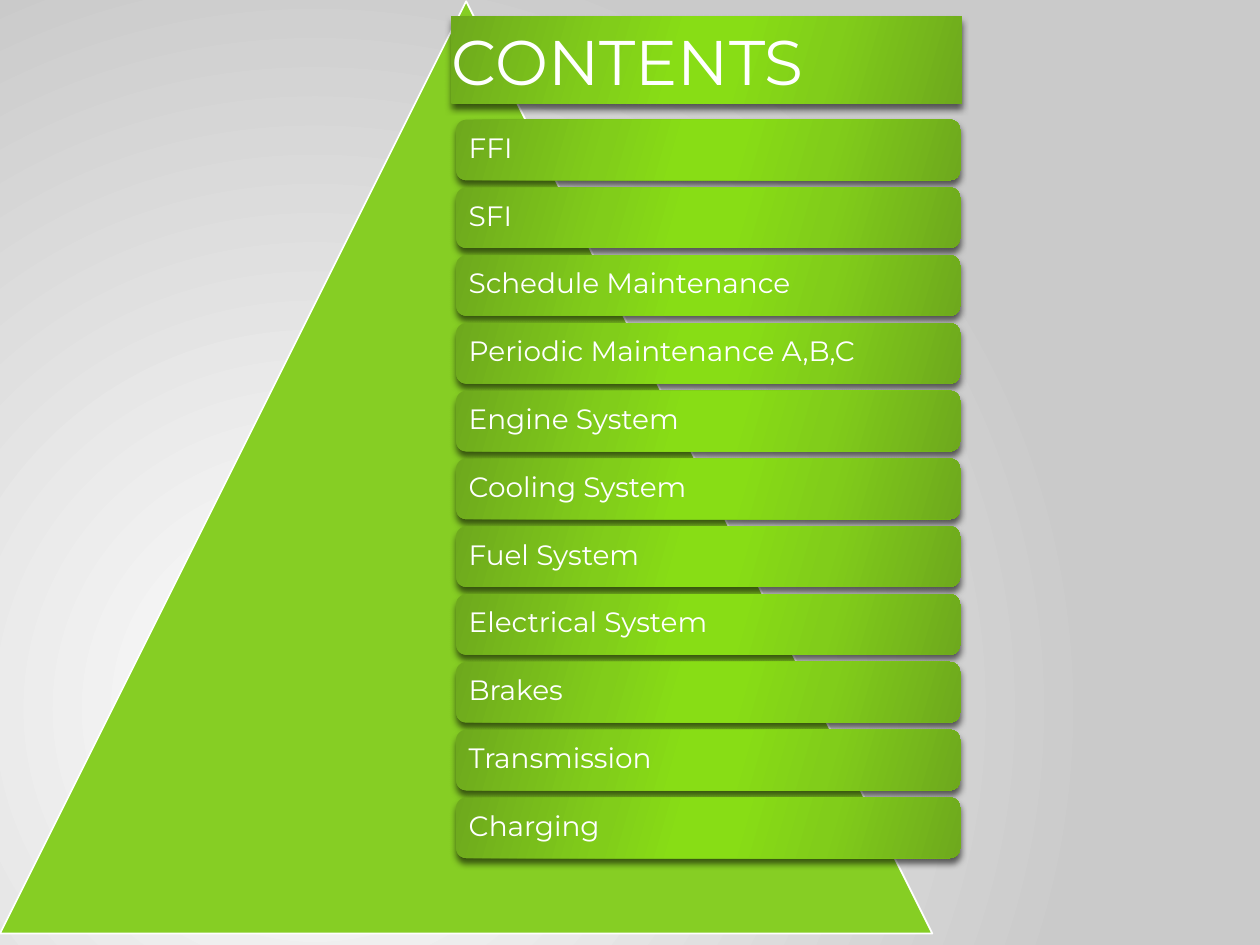
from lxml import etree
from pptx import Presentation
from pptx.dml.color import RGBColor
from pptx.enum.shapes import MSO_SHAPE
from pptx.enum.text import MSO_ANCHOR, MSO_AUTO_SIZE, PP_ALIGN
from pptx.oxml import parse_xml
from pptx.oxml.ns import nsdecls, qn
from pptx.util import Inches, Pt

colour = RGBColor.from_string
GREEN_STOPS = [(0, "6EA91D"), (30, "81CD1A"), (45, "88DD15"),
               (55, "88DD15"), (73, "81CD1A"), (100, "6EA91D")]
BACKGROUND_STOPS = [(0, "FFFFFF"), (100, "CACACA")]
BAR_DIRECTION = '<a:lin ang="960000" scaled="0"/>'
GLOW_DIRECTION = ('<a:path path="circle">'
                  '<a:fillToRect l="50000" t="100000" r="100000" b="50000"/></a:path>')
TOPICS = ["FFI", "SFI", "Schedule Maintenance", "Periodic Maintenance A,B,C",
          "Engine System", "Cooling System", "Fuel System", "Electrical System",
          "Brakes", "Transmission", "Charging"]


def paint_gradient(target, properties, stops, direction, shadow=False):
    target.fill.solid()
    target.fill.fore_color.rgb = colour(stops[0][1])
    solid = properties.find(qn("a:solidFill"))
    stop_xml = "".join(f'<a:gs pos="{position * 1000}"><a:srgbClr val="{value}"/></a:gs>'
                       for position, value in stops)
    gradient = parse_xml(f'<a:gradFill {nsdecls("a")} rotWithShape="1">'
                         f'<a:gsLst>{stop_xml}</a:gsLst>{direction}</a:gradFill>')
    properties.replace(solid, gradient)
    if shadow:
        target.line.fill.background()
        target.shadow.inherit = False
        outer = etree.SubElement(properties.find(qn("a:effectLst")), qn("a:outerShdw"),
                                 blurRad=str(Pt(4)), dist=str(Pt(3)), dir="5400000",
                                 rotWithShape="0")
        black = etree.SubElement(outer, qn("a:srgbClr"), val="000000")
        etree.SubElement(black, qn("a:alpha"), val="58000")


def write_text(box, text, size, side_inset, end_inset, spacing=1.0):
    frame = box.text_frame
    frame.word_wrap = True
    frame.auto_size = MSO_AUTO_SIZE.NONE
    frame.vertical_anchor = MSO_ANCHOR.MIDDLE
    frame.margin_left = frame.margin_right = Inches(side_inset)
    frame.margin_top = frame.margin_bottom = Inches(end_inset)
    paragraph = frame.paragraphs[0]
    paragraph.alignment = PP_ALIGN.LEFT
    paragraph.line_spacing = spacing
    paragraph.space_before = Pt(0)
    span = paragraph.add_run()
    span.text = text
    span.font.name = "Montserrat"
    span.font.size = Pt(size)
    span.font.color.rgb = colour("FFFFFF")


deck = Presentation()
deck.slide_width, deck.slide_height = Inches(10), Inches(7.5)
page = deck.slides.add_slide(deck.slide_layouts[5])

background = page.background
background.fill.solid()
background_properties = page.element.find(".//" + qn("p:bgPr"))
paint_gradient(background, background_properties, BACKGROUND_STOPS, GLOW_DIRECTION)

triangle = page.shapes.add_shape(MSO_SHAPE.ISOSCELES_TRIANGLE, Inches(0), Inches(0.01),
                                 Inches(7.4), Inches(7.4))
triangle.shadow.inherit = False
triangle.fill.solid()
triangle.fill.fore_color.rgb = colour("86CE24")
triangle.line.color.rgb = colour("FFFFFF")
triangle.line.width = Pt(1)

first_top, last_top = 0.95, 6.33
pitch = (last_top - first_top) / (len(TOPICS) - 1)
for index, topic in enumerate(TOPICS):
    top = first_top + index * pitch
    bar = page.shapes.add_shape(MSO_SHAPE.ROUNDED_RECTANGLE, Inches(3.62), Inches(top),
                                Inches(4), Inches(0.48))
    paint_gradient(bar, bar.element.spPr, GREEN_STOPS, BAR_DIRECTION, shadow=True)
    label = page.shapes.add_textbox(Inches(3.65), Inches(top + 0.02),
                                    Inches(3.95), Inches(0.43))
    write_text(label, topic, size=16, side_inset=0.07, end_inset=0.07, spacing=0.9)

title = page.shapes.title
title.left, title.top = Inches(3.58), Inches(0.13)
title.width, title.height = Inches(4.05), Inches(0.69)
paint_gradient(title, title.element.spPr, GREEN_STOPS, BAR_DIRECTION, shadow=True)
write_text(title, "CONTENTS", size=36, side_inset=0, end_inset=0.05)
title.element.getparent().append(title.element)

deck.save("out.pptx")
